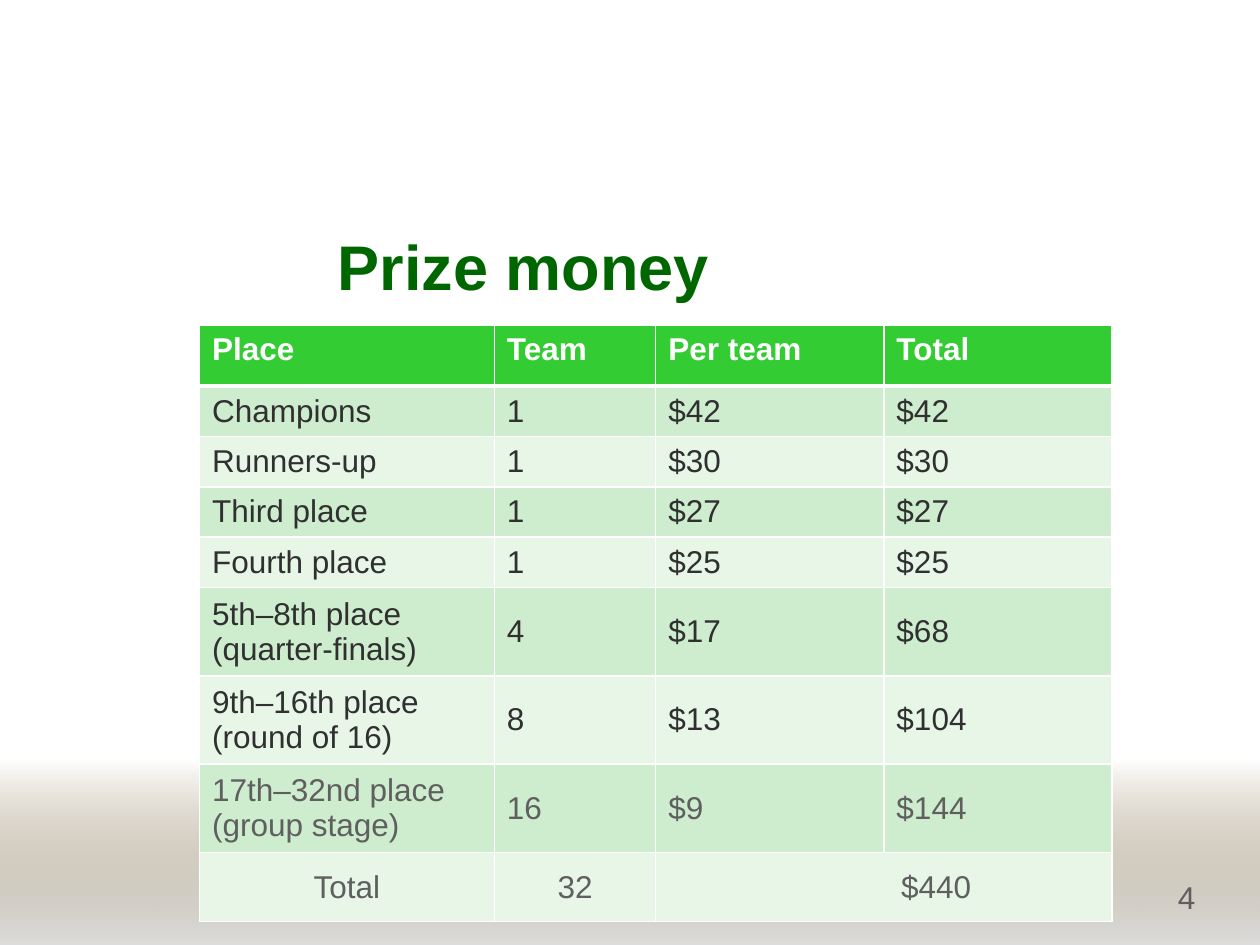
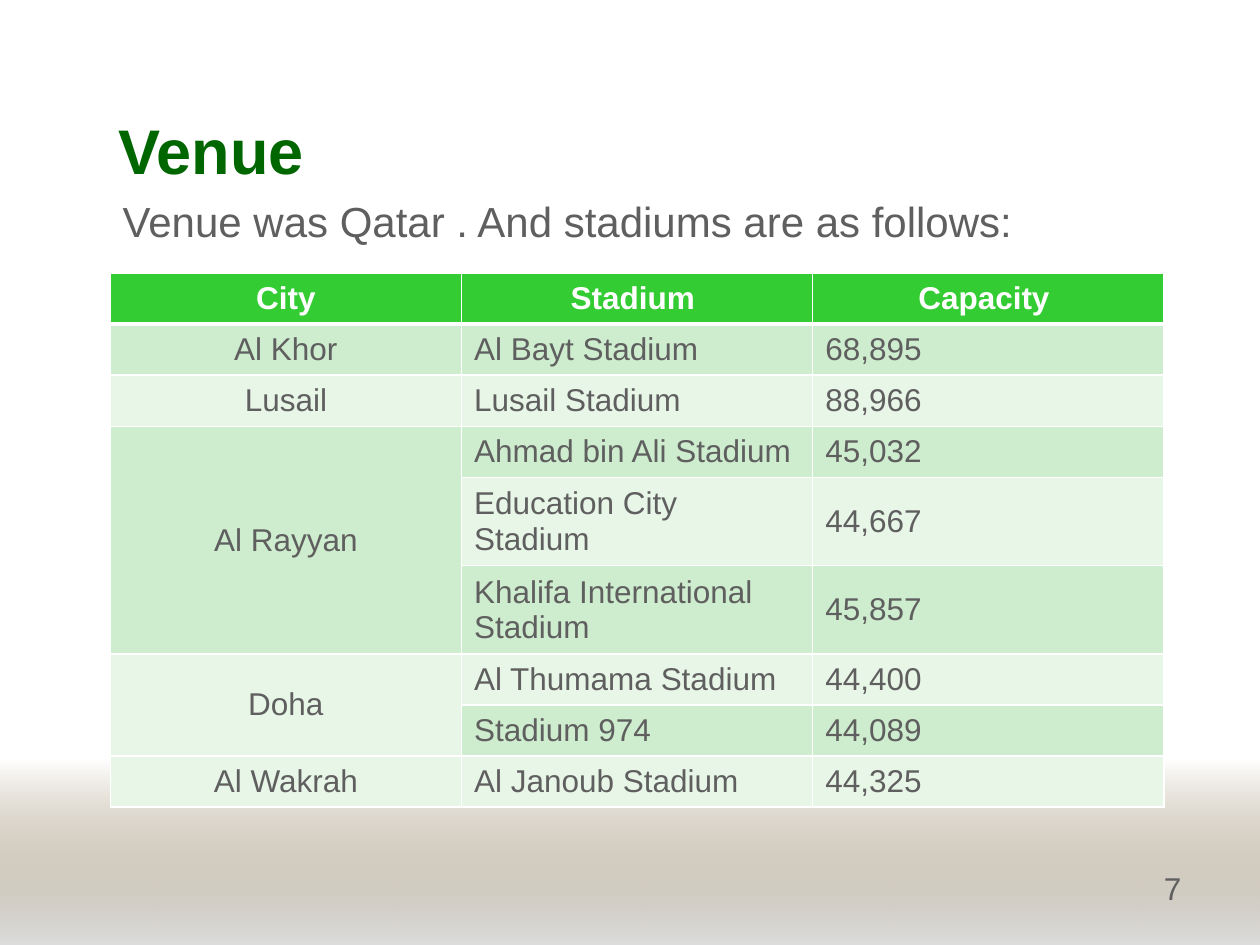
import pptx
import pptx.util
import pptx.dml.color
import pptx.enum.shapes
import pptx.enum.text
import pptx.oxml.ns
from lxml import etree

Pt = pptx.util.Pt
RGBColor = pptx.dml.color.RGBColor
ALIGN = pptx.enum.text.PP_ALIGN
ANCHOR = pptx.enum.text.MSO_ANCHOR
qn = pptx.oxml.ns.qn

PRIZES = [
    ("Place", "Team", "Per team", "Total"),
    ("Champions", "1", "$42", "$42"),
    ("Runners-up", "1", "$30", "$30"),
    ("Third place", "1", "$27", "$27"),
    ("Fourth place", "1", "$25", "$25"),
    ("5th–8th place (quarter-finals)", "4", "$17", "$68"),
    ("9th–16th place (round of 16)", "8", "$13", "$104"),
    ("17th–32nd place (group stage)", "16", "$9", "$144"),
    ("Total", "32", "$440", None),
]
STADIUMS = [
    ("City", "Stadium", "Capacity"),
    ("Al Khor", "Al Bayt Stadium", "68,895"),
    ("Lusail", "Lusail Stadium", "88,966"),
    ("Al Rayyan", "Ahmad bin Ali Stadium", "45,032"),
    (None, "Education City Stadium", "44,667"),
    (None, "Khalifa International Stadium", "45,857"),
    ("Doha", "Al Thumama Stadium", "44,400"),
    (None, "Stadium 974", "44,089"),
    ("Al Wakrah", "Al Janoub Stadium", "44,325"),
]
VENUE_INTRO = "Venue was Qatar . And stadiums are as follows:"

FONT = "Arial"
WHITE = RGBColor(0xFF, 0xFF, 0xFF)
TITLE_GREEN = RGBColor(0x00, 0x66, 0x00)
HEADER_GREEN = RGBColor(0x33, 0xCC, 0x33)
ROW_TINTS = RGBColor(0xE8, 0xF6, 0xE8), RGBColor(0xCE, 0xEC, 0xCE)
DARK = RGBColor(0x30, 0x30, 0x30)
GREY = RGBColor(0x5F, 0x5F, 0x5F)
EARTH = RGBColor(0x76, 0x5E, 0x2F)
SILVER = RGBColor(0xDD, 0xDD, 0xDD)

WIDTH, HEIGHT = 720, 540
BAND_TOP = 434
TITLE_WIDTH, TITLE_HEIGHT = 516, 51


def write(frame, text, size=18, color=GREY, bold=False, align=ALIGN.LEFT):
    paragraph = frame.paragraphs[0]
    paragraph.alignment = align
    run = paragraph.add_run()
    run.text = text
    run.font.name = FONT
    run.font.size = Pt(size)
    run.font.bold = bold
    run.font.color.rgb = color


def add_text(slide, text, left, top, width, height, anchor=ANCHOR.TOP, **style):
    frame = slide.shapes.add_textbox(Pt(left), Pt(top), Pt(width), Pt(height)).text_frame
    frame.word_wrap = True
    frame.vertical_anchor = anchor
    write(frame, text, **style)


def add_band(slide):
    band = slide.shapes.add_shape(
        pptx.enum.shapes.MSO_SHAPE.RECTANGLE, 0, Pt(BAND_TOP), Pt(WIDTH), Pt(HEIGHT - BAND_TOP))
    band.shadow.inherit = False
    band.line.fill.background()
    band.fill.gradient()
    band.fill.gradient_angle = 270
    for stop, color in zip(band.fill.gradient_stops, (EARTH, SILVER)):
        stop.color.rgb = color
    clear = band._element.spPr.find(".//" + qn("a:srgbClr"))
    etree.SubElement(clear, qn("a:alpha"), val="0")


def set_borders(cell, top=1, bottom=1):
    properties = cell._tc.get_or_add_tcPr()
    for side, weight in (("L", 1), ("R", 1), ("T", top), ("B", bottom)):
        border = etree.SubElement(properties, qn("a:ln" + side), w=str(Pt(weight)))
        fill = etree.SubElement(border, qn("a:solidFill"))
        etree.SubElement(fill, qn("a:srgbClr"), val=str(WHITE))


def add_grid(slide, rows, left, top, widths, heights, merges, style_of):
    grid = slide.shapes.add_table(
        len(rows), len(widths), Pt(left), Pt(top), Pt(sum(widths)), Pt(sum(heights))).table
    for column, width in zip(grid.columns, widths):
        column.width = Pt(width)
    for r, (row, height) in enumerate(zip(rows, heights)):
        grid.rows[r].height = Pt(height)
        for c, text in enumerate(row):
            cell = grid.cell(r, c)
            set_borders(cell, top=3 if r == 1 else 1, bottom=3 if r == 0 else 1)
            cell.fill.solid()
            cell.fill.fore_color.rgb = ROW_TINTS[r % 2] if r else HEADER_GREEN
            cell.vertical_anchor = ANCHOR.MIDDLE
            if text is not None:
                header = {} if r else {"color": WHITE, "bold": True}
                write(cell.text_frame, text, **{**style_of(r, c), **header})
    for first, last in merges:
        grid.cell(*first).merge(grid.cell(*last))
    return grid


def add_page(deck, title, title_left, title_top, number, number_left, number_top):
    slide = deck.slides.add_slide(deck.slide_layouts[6])
    add_band(slide)
    add_text(slide, title, title_left, title_top, TITLE_WIDTH, TITLE_HEIGHT,
             anchor=ANCHOR.MIDDLE, size=36, color=TITLE_GREEN, bold=True)
    add_text(slide, number, number_left, number_top, 40, 29)
    return slide


def prize_style(row, column):
    return {"color": DARK if row < 7 else GREY,
            "align": ALIGN.CENTER if row == 8 else ALIGN.LEFT}


def stadium_style(row, column):
    return {"align": ALIGN.CENTER if row == 0 or column == 0 else ALIGN.LEFT}


def main():
    deck = pptx.Presentation()
    deck.slide_width, deck.slide_height = Pt(WIDTH), Pt(HEIGHT)

    prize_page = add_page(deck, "Prize money", 186, 126, "4", 666, 498)
    prizes = add_grid(prize_page, PRIZES, 114, 186, [168.5, 92.2, 130.4, 130.4],
                      [34.5] + [27.4] * 4 + [47.5] * 3 + [39.6],
                      [((8, 2), (8, 3))], prize_style)
    for c in range(4):
        prizes.cell(0, c).vertical_anchor = ANCHOR.TOP
    prizes.cell(8, 2).margin_left = Pt(67)

    venue_page = add_page(deck, "Venue", 60.5, 60, "7", 658, 493)
    add_text(venue_page, VENUE_INTRO, 63, 108, 597, 36, size=24)
    stadiums = add_grid(venue_page, STADIUMS, 63, 156, [200.7] * 3,
                        [50.4 if r in (4, 5) else 29.2 for r in range(9)],
                        [((3, 0), (5, 0)), ((6, 0), (7, 0))], stadium_style)
    for c in (1, 2):
        stadiums.cell(0, c).margin_right = Pt(12.2)

    deck.save("out.pptx")


if __name__ == "__main__":
    main()
